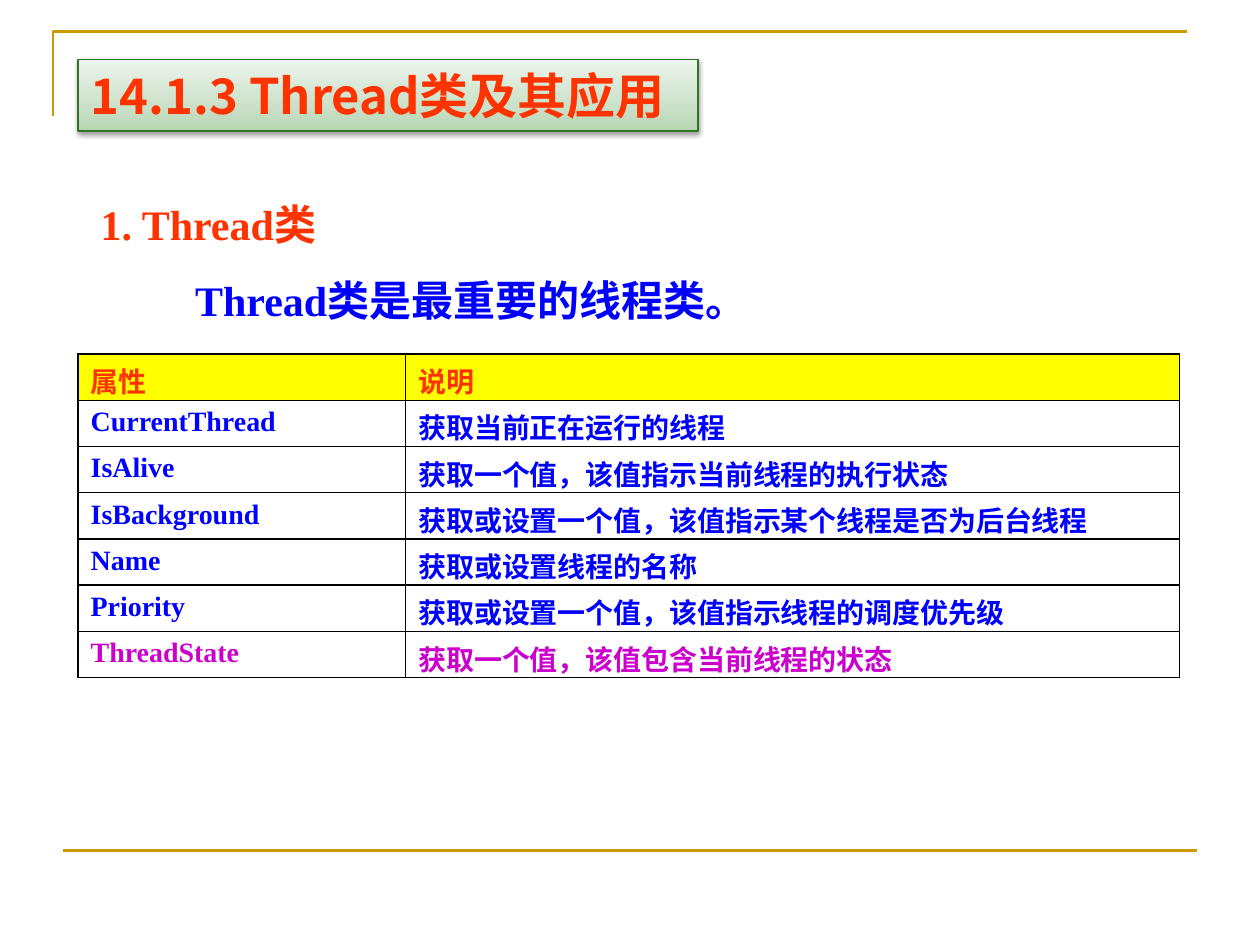
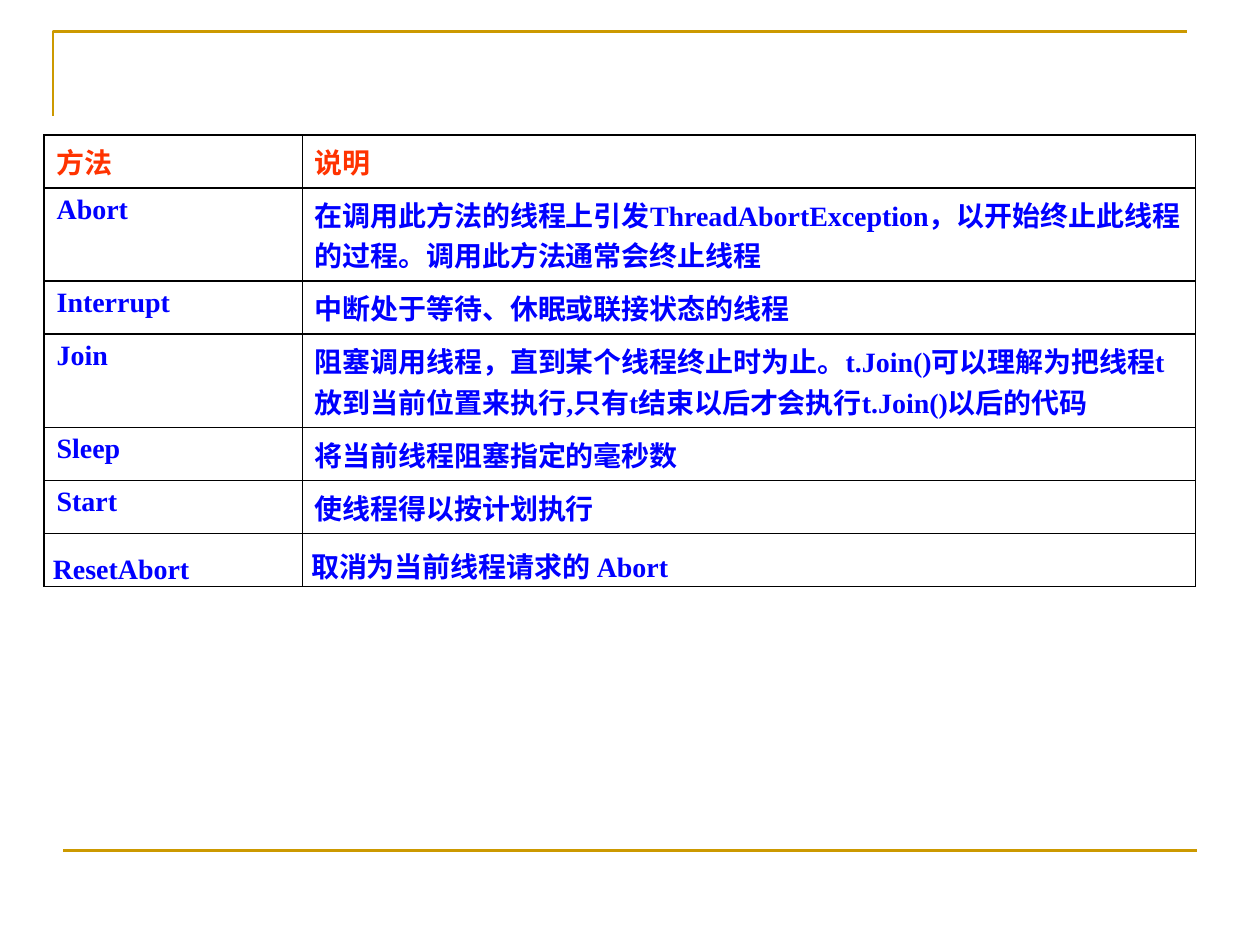
from dataclasses import dataclass

from lxml.etree import SubElement
from pptx import Presentation
from pptx.dml.color import RGBColor as RGB
from pptx.enum.shapes import MSO_CONNECTOR as CONN
from pptx.enum.text import MSO_ANCHOR as ANCHOR, MSO_AUTO_SIZE as FIT, PP_ALIGN as ALIGN
from pptx.oxml.ns import qn
from pptx.util import Inches, Pt


@dataclass(frozen=True)
class Theme:
    """Colours, fonts and type sizes of the deck."""
    gold: str = "CC9900"
    red: str = "FF3300"
    blue: str = "0000FF"
    purple: str = "CC00CC"
    yellow: str = "FFFF00"
    black: str = "000000"
    green: str = "337327"
    band: tuple = ((0, "B5D5B2"), (35, "CCE1CA"), (100, "EBF4EB"))
    serif: str = "Times New Roman"
    sans: str = "Noto Sans CJK SC"
    title: int = 28
    body: int = 24
    cell: int = 16


class Deck:
    """Holds the theme and the current slide and draws each kind of element."""

    def __init__(self, theme):
        """Start an empty 10 by 7.5 inch presentation."""
        self.t = theme
        self.prs = Presentation()
        self.prs.slide_width, self.prs.slide_height = Inches(10), Inches(7.5)

    def add_slide(self, title=None):
        """Add a slide with the gold frame and an optional title band."""
        layout = self.prs.slide_layouts.get_by_name("Title Only" if title else "Blank")
        self.s = self.prs.slides.add_slide(layout)
        self.frame()
        if title:
            self.title(title)

    def frame(self):
        """Draw the gold corner at the top and the gold rule at the bottom."""
        builder = self.s.shapes.build_freeform(Inches(0.42), Inches(0.92), scale=1.0)
        builder.add_line_segments([(Inches(0.42), Inches(0.25)),
                                   (Inches(9.42), Inches(0.25))], close=False)
        corner = builder.convert_to_shape()
        corner.shadow.inherit = False
        corner.fill.background()
        rule = self.s.shapes.add_connector(CONN.STRAIGHT, Inches(0.5), Inches(6.75),
                                           Inches(9.5), Inches(6.75))
        SubElement(rule._element.spPr, qn("a:effectLst"))
        for sp in (corner, rule):
            sp.line.color.rgb = RGB.from_string(self.t.gold)
            sp.line.width = Pt(1.5)

    def style(self, p, size, color, font):
        """Set the bold type of a paragraph for Latin and Chinese text."""
        p.font.size, p.font.bold, p.font.name = Pt(size), True, font
        p.font.color.rgb = RGB.from_string(color)
        SubElement(p._p.pPr.find(qn("a:defRPr")), qn("a:ea"), typeface=self.t.sans)

    def title(self, text):
        """Place the title on a green gradient band with a soft shadow."""
        sp = self.s.shapes.title
        sp.left, sp.top, sp.width, sp.height = map(Inches, (0.62, 0.47, 4.92, 0.57))
        sp.fill.gradient()
        sp.fill.gradient_angle = 90
        stops = sp._element.spPr.find(qn("a:gradFill")).find(qn("a:gsLst"))
        stops.clear()
        for pos, color in self.t.band:
            stop = SubElement(stops, qn("a:gs"), pos=str(pos * 1000))
            SubElement(stop, qn("a:srgbClr"), val=color)
        sp.line.color.rgb = RGB.from_string(self.t.green)
        sp.line.width = Pt(0.75)
        effects = SubElement(sp._element.spPr, qn("a:effectLst"))
        shadow = SubElement(effects, qn("a:outerShdw"), blurRad=str(Pt(3.1)),
                            dist=str(Pt(1.6)), dir="5400000", rotWithShape="0")
        color = SubElement(shadow, qn("a:srgbClr"), val=self.t.black)
        SubElement(color, qn("a:alpha"), val="38000")
        tf = sp.text_frame
        tf.text, tf.word_wrap, tf.auto_size = text, True, FIT.NONE
        tf.vertical_anchor = ANCHOR.MIDDLE
        tf.margin_top = tf.margin_bottom = 0
        p = tf.paragraphs[0]
        p.alignment = ALIGN.LEFT
        self.style(p, self.t.title, self.t.red, self.t.sans)

    def text(self, box, lines):
        """Add a text box of (text, colour, first-line indent) lines."""
        tf = self.s.shapes.add_textbox(*map(Inches, box)).text_frame
        tf.word_wrap = True
        for i, (text, color, indent) in enumerate(lines):
            p = tf.add_paragraph() if i else tf.paragraphs[0]
            p.text, p.line_spacing = text, 1.5
            self.style(p, self.t.body, color, self.t.serif)
            p._p.pPr.set("indent", str(Inches(indent)))

    def table(self, left, top, cols, heights, rows, head_fill=None, bottom=0.05,
              last_color=None):
        """Add a ruled table with a red header row and return it."""
        table = self.s.shapes.add_table(len(rows), len(cols), Inches(left), Inches(top),
                                        Inches(sum(cols)), Inches(sum(heights))).table
        table.first_row = table.horz_banding = False
        for col, width in zip(table.columns, cols):
            col.width = Inches(width)
        colors = [self.t.red] + [self.t.blue] * (len(rows) - 2) + [last_color or self.t.blue]
        for i, (row, height) in enumerate(zip(table.rows, heights)):
            row.height = Inches(height)
            for cell, text in zip(row.cells, rows[i]):
                cell.text = text
                cell.margin_bottom = Inches(bottom)
                self.style(cell.text_frame.paragraphs[0], self.t.cell, colors[i], self.t.serif)
                self.borders(cell)
                if head_fill and i == 0:
                    cell.fill.solid()
                    cell.fill.fore_color.rgb = RGB.from_string(head_fill)
                else:
                    cell.fill.background()
        return table

    def borders(self, cell):
        """Rule all four sides of a cell in black."""
        for side in ("lnL", "lnR", "lnT", "lnB"):
            ln = SubElement(cell._tc.get_or_add_tcPr(), qn("a:" + side), w=str(Pt(1)))
            SubElement(SubElement(ln, qn("a:solidFill")), qn("a:srgbClr"), val=self.t.black)

    def loose_row(self, row):
        """Justify a row on 30 pt lines with narrow margins."""
        for cell in row.cells:
            cell.margin_left = cell.margin_right = Inches(0.07)
            cell.margin_top = cell.margin_bottom = 0
            p = cell.text_frame.paragraphs[0]
            p.alignment, p.line_spacing = ALIGN.JUSTIFY, Pt(30)


PROPERTIES = [
    ("属性", "说明"),
    ("CurrentThread", "获取当前正在运行的线程"),
    ("IsAlive", "获取一个值，该值指示当前线程的执行状态"),
    ("IsBackground", "获取或设置一个值，该值指示某个线程是否为后台线程"),
    ("Name", "获取或设置线程的名称"),
    ("Priority", "获取或设置一个值，该值指示线程的调度优先级"),
    ("ThreadState", "获取一个值，该值包含当前线程的状态"),
]
METHODS = [
    ("方法", "说明"),
    ("Abort", "在调用此方法的线程上引发ThreadAbortException，以开始终止此线程的过程。"
              "调用此方法通常会终止线程"),
    ("Interrupt", "中断处于等待、休眠或联接状态的线程"),
    ("Join", "阻塞调用线程，直到某个线程终止时为止。t.Join()可以理解为把线程t放到当前位置来执行,"
             "只有t结束以后才会执行t.Join()以后的代码"),
    ("Sleep", "将当前线程阻塞指定的毫秒数"),
    ("Start", "使线程得以按计划执行"),
    ("ResetAbort", "取消为当前线程请求的\u00a0Abort"),
]

theme = Theme()
deck = Deck(theme)

deck.add_slide("14.1.3 Thread类及其应用")
deck.text((0.7, 1.33, 8.43, 1.24), [("1. Thread类", theme.red, 0),
                                    ("Thread类是最重要的线程类。", theme.blue, 0.75)])
deck.table(0.62, 2.81, (2.6, 6.14), [2.57 / len(PROPERTIES)] * len(PROPERTIES), PROPERTIES,
           head_fill=theme.yellow, bottom=0, last_color=theme.purple)

deck.add_slide()
methods = deck.table(0.35, 1.07, (2.05, 7.09),
                     [0.74 if name in ("Abort", "Join") else 0.42 for name, _ in METHODS], METHODS)
deck.loose_row(methods.rows[len(METHODS) - 1])

deck.prs.save("out.pptx")
